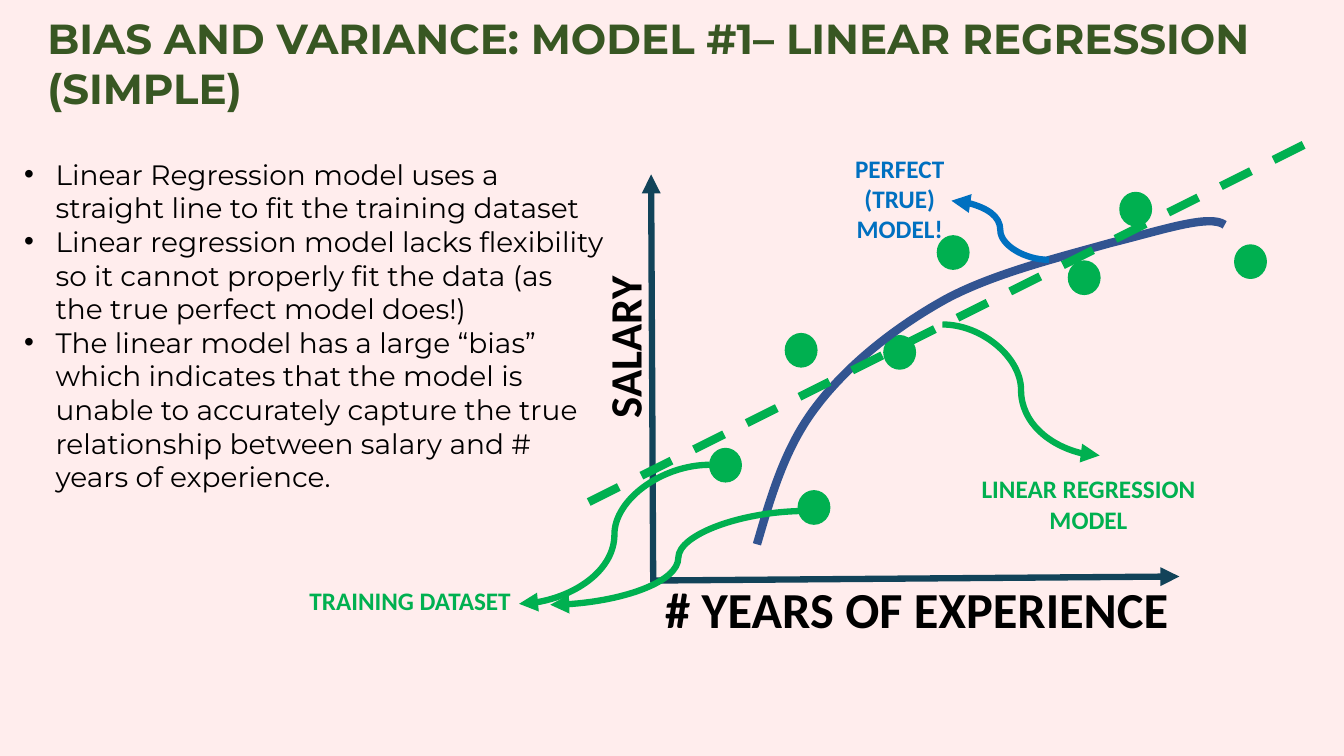
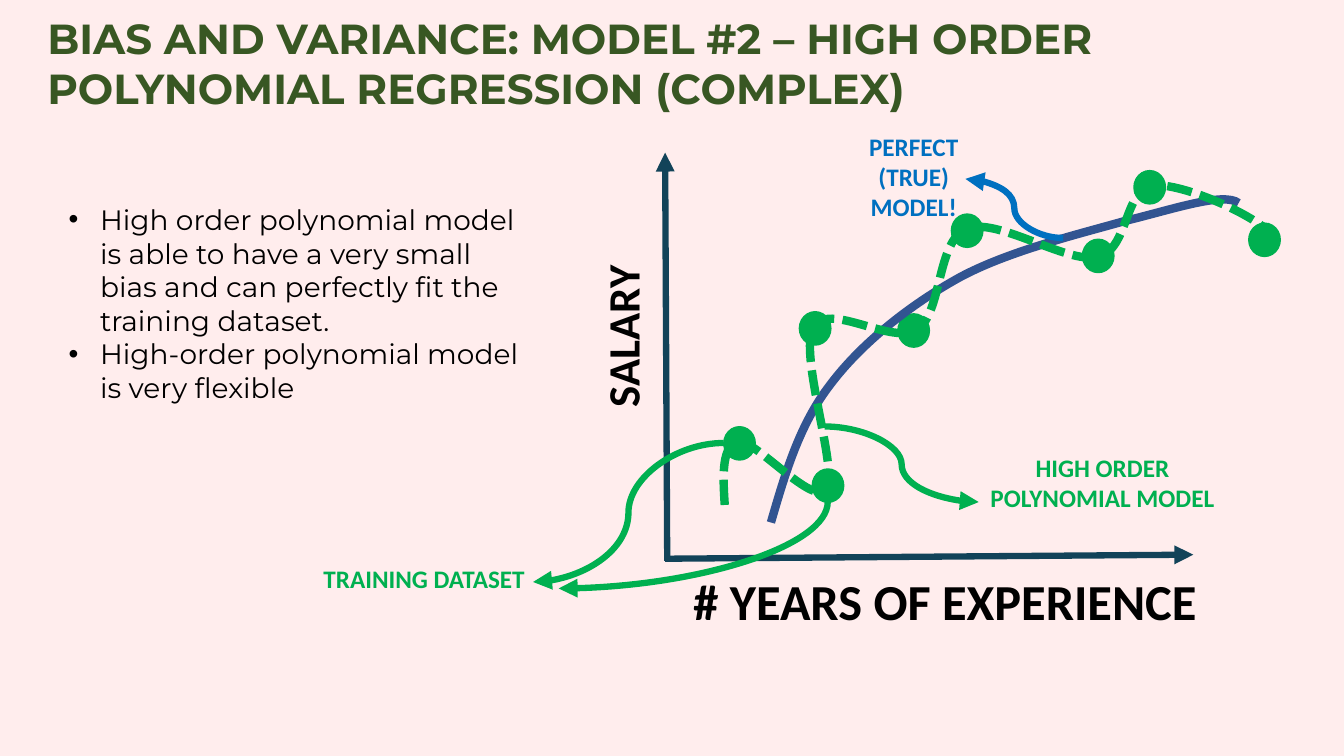
from dataclasses import dataclass

import lxml.etree
import pptx
import pptx.dml.color
import pptx.enum.dml
import pptx.enum.shapes
import pptx.enum.text
import pptx.oxml.ns
import pptx.util

Pt = pptx.util.Pt
qn = pptx.oxml.ns.qn
rgb = pptx.dml.color.RGBColor.from_string
Dash = pptx.enum.dml.MSO_LINE
Link = pptx.enum.shapes.MSO_CONNECTOR
Align = pptx.enum.text.PP_ALIGN
Anchor = pptx.enum.text.MSO_ANCHOR


@dataclass(frozen=True)
class Theme:
    background = rgb("FFEDED")
    title = rgb("385723")
    text = rgb("000000")
    axis = rgb("124359")
    model = rgb("00B050")
    truth = rgb("0070C0")
    truth_curve = rgb("325491")
    heading_font = "Montserrat"
    label_font = "Calibri"
    title_size = Pt(30)
    body_size = Pt(20)
    label_size = Pt(18)
    x_axis_size = Pt(36)
    y_axis_size = Pt(32)
    arrow_width = Pt(4.5)
    curve_width = Pt(6)


theme = Theme()


def draw_connector(page, kind, start, end, colour, offset=(0, 0), width=theme.arrow_width, dash=None):
    dx, dy = offset
    connector = page.shapes.add_connector(
        kind, Pt(start[0] + dx), Pt(start[1] + dy), Pt(end[0] + dx), Pt(end[1] + dy))
    connector.line.color.rgb = colour
    connector.line.width = width
    if dash:
        connector.line.dash_style = dash
    else:
        lxml.etree.SubElement(connector.get_or_add_ln(), qn("a:tailEnd"), type="triangle")
    lxml.etree.SubElement(connector._element.spPr, qn("a:effectLst"))
    return connector


def draw_curve(page, points, colour, offset=(0, 0), dash=None):
    placed = [(Pt(x + offset[0]), Pt(y + offset[1])) for x, y in points]
    builder = page.shapes.build_freeform(*placed[0])
    builder.add_line_segments(placed[1:], close=False)
    curve = builder.convert_to_shape()
    outline = curve._element.find(".//" + qn("a:path"))
    segments = outline.findall(qn("a:lnTo"))
    for first in range(0, len(segments), 3):
        bezier = lxml.etree.SubElement(outline, qn("a:cubicBezTo"))
        for segment in segments[first:first + 3]:
            bezier.append(segment[0])
            outline.remove(segment)
    curve.shadow.inherit = False
    curve.fill.background()
    curve.line.color.rgb = colour
    curve.line.width = theme.curve_width
    if dash:
        curve.line.dash_style = dash


dots = [(561, 238.3), (570.2, 350.6), (669.6, 168.5), (507, 320.4),
        (631.4, 239.8), (800, 137.5), (763.2, 186.5), (882, 175)]
dot_width, dot_height = 22.5, 23.8

true_curve = [
    (540.7, 388.8),
    (550.8, 354.2), (560.9, 319), (583.2, 290.2),
    (605.5, 260.6), (640.1, 233.3), (675.4, 213.8),
    (709.9, 195.1), (760.3, 182.9), (793.4, 173.5),
    (828.7, 164.9), (864, 152.6), (874.8, 160.6),
]
polynomial_curve = [
    (517.7, 360.7),
    (516.2, 339.1), (515.5, 317.5), (527.8, 315.4),
    (539.3, 313.9), (581.8, 362.9), (590.4, 349.2),
    (599, 335.5), (570.2, 252.7), (581, 234),
    (591.8, 214.6), (636.5, 247), (655.2, 235.4),
    (673.2, 223.2), (668.9, 172.1), (690.5, 163.4),
    (712.1, 154.8), (761.8, 188.6), (784.1, 183.6),
    (806.4, 178.6), (802.8, 134.6), (823.7, 132.5),
    (844.6, 130.3), (901.4, 155.5), (910.1, 169.9),
]

slides = [
    {
        "title": "BIAS AND VARIANCE: MODEL #1– LINEAR REGRESSION (SIMPLE)",
        "bullets": [
            "Linear Regression model uses a straight line to fit the training dataset",
            "Linear regression model lacks flexibility so it cannot properly fit the data "
            "(as the true perfect model does!)",
            "The linear model has a large “bias” which indicates that the model is unable to "
            "accurately capture the true relationship between salary and # years of experience.",
        ],
        "body": (10, 108.7, 430, 250),
        "offset": (0, 0),
        "x_label": (468, 409.7),
        "y_label": (387.4, 224.6),
        "model": "LINEAR REGRESSION MODEL",
        "model_arrow": ((673.2, 231.8), (785.5, 325.4)),
    },
    {
        "title": "BIAS AND VARIANCE: MODEL #2 – HIGH ORDER POLYNOMIAL REGRESSION (COMPLEX)",
        "bullets": [
            "High order polynomial model is able to have a very small bias and can perfectly "
            "fit the training dataset.",
            "High-order polynomial model is very flexible",
        ],
        "body": (41.8, 141, 343.4, 152.6),
        "offset": (10, -15.6),
        "x_label": (488.2, 404),
        "y_label": (386, 216.7),
        "model": "HIGH ORDER POLYNOMIAL MODEL",
        "model_arrow": ((589, 304.6), (699.1, 358.6)),
    },
]

deck = pptx.Presentation()
deck.slide_width, deck.slide_height = Pt(960), Pt(540)
deck.slide_master.background.fill.solid()
deck.slide_master.background.fill.fore_color.rgb = theme.background

for number, content in enumerate(slides, 1):
    page = deck.slides.add_slide(deck.slide_layouts[1])
    offset = dx, dy = content["offset"]

    title, body = page.shapes.title, page.placeholders[1]
    title.text_frame.text = content["title"]
    body.text_frame.text = "\n".join(content["bullets"])
    for box, frame, size, colour, bold in [
        (title, (26.6, 5, 933.4, 80), theme.title_size, theme.title, True),
        (body, content["body"], theme.body_size, theme.text, False),
    ]:
        box.left, box.top, box.width, box.height = map(Pt, frame)
        box.text_frame.vertical_anchor = Anchor.TOP
        box.text_frame.auto_size = pptx.enum.text.MSO_AUTO_SIZE.NONE
        for para in box.text_frame.paragraphs:
            para.alignment = Align.LEFT
            para.space_before = Pt(0)
            for span in para.runs:
                span.font.name = theme.heading_font
                span.font.size = size
                span.font.bold = bold
                span.font.color.rgb = colour
    for para in body.text_frame.paragraphs:
        indents = para._p.get_or_add_pPr()
        indents.set("marL", str(Pt(22.5)))
        indents.set("indent", str(-Pt(22.5)))

    draw_connector(page, Link.STRAIGHT, (465.1, 414.7), (842.4, 411.8), theme.axis, offset)
    draw_connector(page, Link.STRAIGHT, (466.6, 416.2), (465.1, 124.6), theme.axis, offset)

    for x, y in dots:
        dot = page.shapes.add_shape(
            pptx.enum.shapes.MSO_SHAPE.OVAL, Pt(x + dx), Pt(y + dy), Pt(dot_width), Pt(dot_height))
        dot.shadow.inherit = False
        dot.fill.solid()
        dot.fill.fore_color.rgb = theme.model
        dot.line.color.rgb = theme.model
        dot.line.width = Pt(1)

    draw_curve(page, true_curve, theme.truth_curve, offset)
    draw_connector(page, Link.CURVE, (507, 332), (370.8, 431.3), theme.model, offset)
    draw_connector(page, Link.CURVE, (749.5, 185.6), (679.7, 143.4), theme.truth, offset)
    draw_connector(page, Link.CURVE, *content["model_arrow"], theme.model)

    if number == 1:
        draw_connector(page, Link.STRAIGHT, (420.5, 358.6), (938.2, 100), theme.model,
                       width=theme.curve_width, dash=Dash.DASH)
        draw_connector(page, Link.CURVE, (576, 365), (393.1, 432), theme.model)
    else:
        draw_curve(page, polynomial_curve, theme.model, dash=Dash.SQUARE_DOT)
        quarter = draw_connector(page, Link.CURVE, (464.2, 293.3), (526.1, 485.5), theme.model)
        quarter._element.spPr.find(qn("a:prstGeom")).set("prst", "curvedConnector2")
        quarter._element.spPr.find(qn("a:xfrm")).set("rot", "5400000")

    for text, frame, size, colour, centred, rotation in [
        ("# YEARS OF EXPERIENCE", (*content["x_label"], 377.3, 51),
         theme.x_axis_size, theme.text, False, 0),
        ("SALARY", (*content["y_label"], 116.6, 46), theme.y_axis_size, theme.text, False, 270),
        ("TRAINING DATASET", (204.5 + dx, 414.7 + dy, 177, 29),
         theme.label_size, theme.model, True, 0),
        ("PERFECT (TRUE) MODEL!", (579 + dx, 105.8 + dy, 127.4, 72.7),
         theme.label_size, theme.truth, True, 0),
        (content["model"], (689 + dx, 334.8 + dy, 177, 51),
         theme.label_size, theme.model, True, 0),
    ]:
        label = page.shapes.add_textbox(*map(Pt, frame))
        label.rotation = rotation
        label.text_frame.word_wrap = centred
        label.text_frame.text = text
        para = label.text_frame.paragraphs[0]
        para.alignment = Align.CENTER if centred else Align.LEFT
        span = para.runs[0]
        span.font.name = theme.label_font
        span.font.size = size
        span.font.bold = True
        span.font.color.rgb = colour

deck.save("out.pptx")
